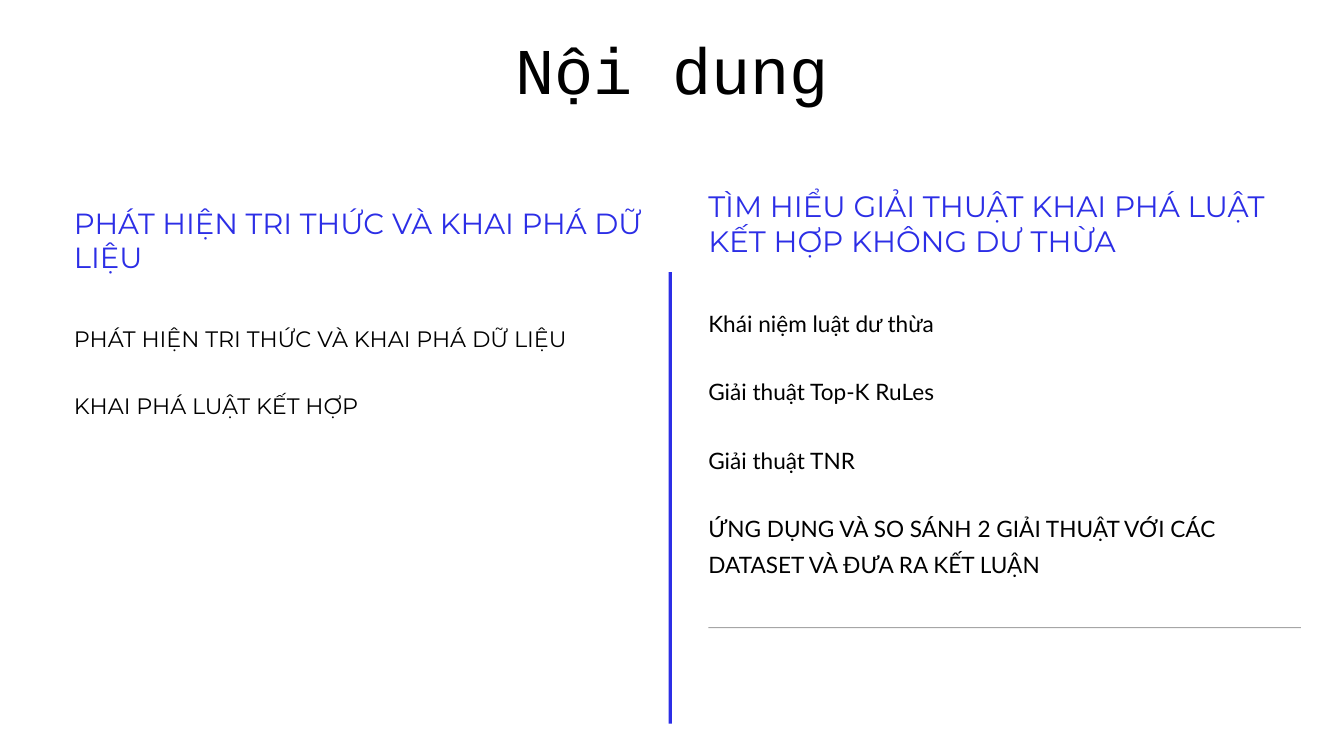
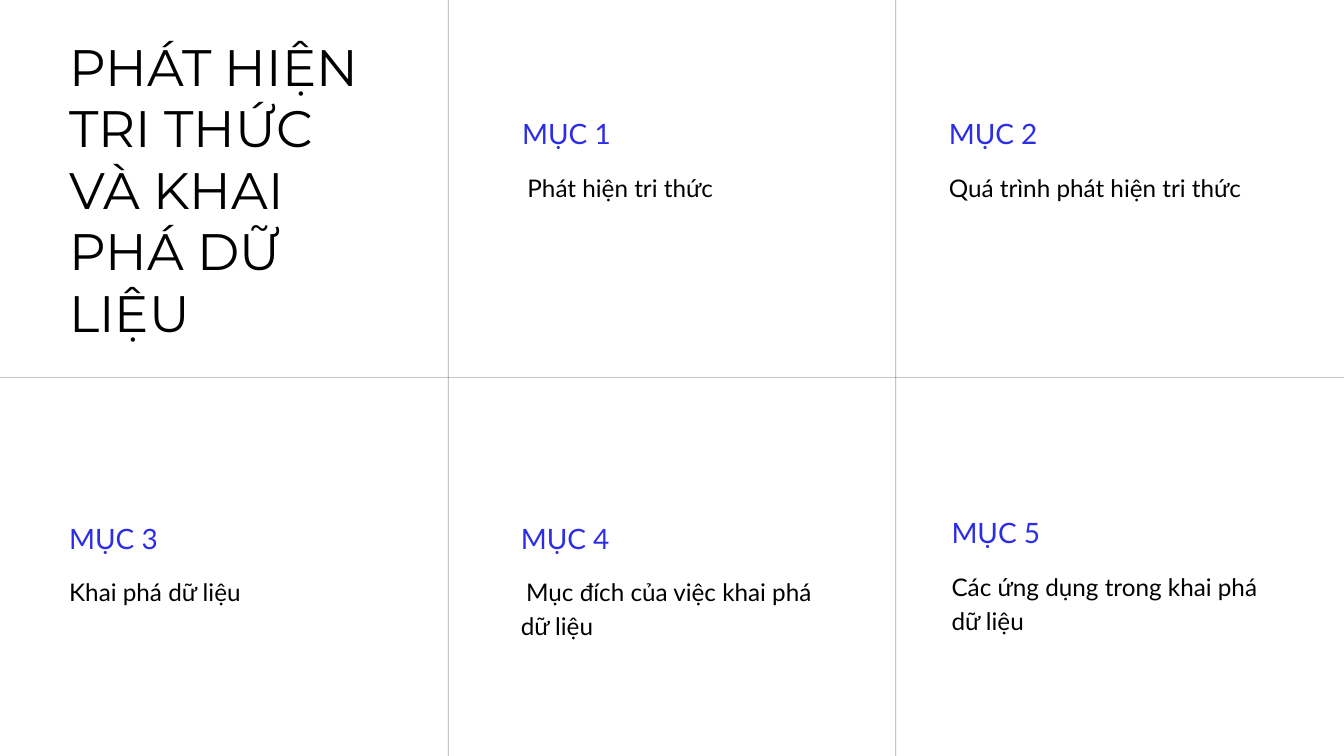
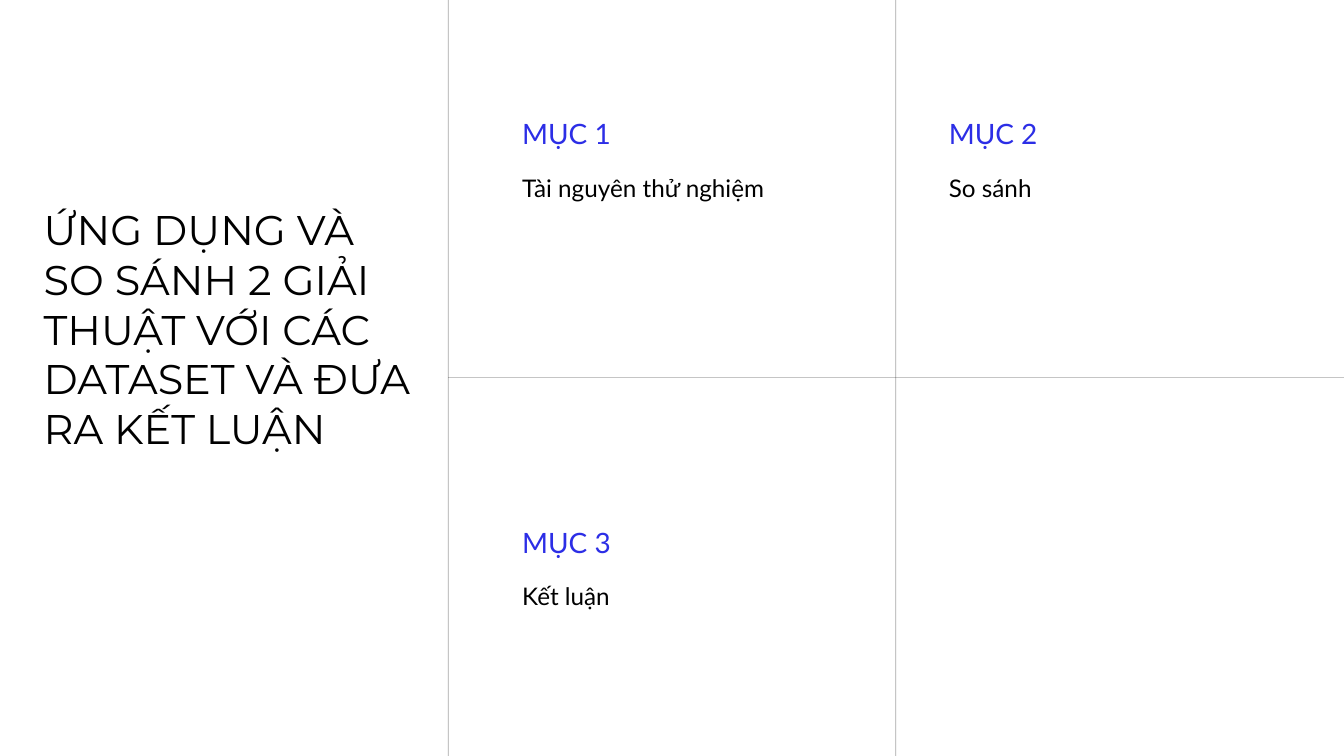
from lxml import etree
from pptx import Presentation
from pptx.dml.color import RGBColor
from pptx.enum.shapes import MSO_CONNECTOR, MSO_SHAPE
from pptx.enum.text import MSO_AUTO_SIZE, PP_ALIGN
from pptx.oxml.ns import qn
from pptx.util import Inches, Pt

STRAIGHT = MSO_CONNECTOR.STRAIGHT
RECTANGLE = MSO_SHAPE.RECTANGLE
FIT_SHAPE = MSO_AUTO_SIZE.SHAPE_TO_FIT_TEXT
LEFT, CENTER = PP_ALIGN.LEFT, PP_ALIGN.CENTER

COLORS = {"text": "000000", "accent": "2C2EE6", "rule": "000000"}
TITLE_FONT, BODY_FONT, MONO_FONT = "Montserrat", "Lato", "Courier New"

SLIDE_WIDTH, SLIDE_HEIGHT = 20, 11.25
GRID_X = (6.67, 13.33)
GRID_Y = 5.62
RULE_OPACITY = 35
COLUMN_WIDTH = 8.71
CELL_WIDTH = 4.56


def add_text(slide, box, text, size, font=BODY_FONT, color="text", leading=1.2,
             align=LEFT, indent=0):
    """Place one paragraph; leading is a multiple of size, indent is in inches."""
    shape = slide.shapes.add_textbox(*map(Inches, box))
    frame = shape.text_frame
    frame.margin_left = frame.margin_right = frame.margin_top = frame.margin_bottom = 0
    frame.word_wrap = True
    frame.auto_size = FIT_SHAPE
    paragraph = frame.paragraphs[0]
    paragraph.text = text
    paragraph.alignment = align
    paragraph.line_spacing = Pt(round(size * leading, 1))
    if indent:
        paragraph._p.get_or_add_pPr().set("indent", str(Inches(indent)))
    paragraph.font.name = font
    paragraph.font.size = Pt(size)
    paragraph.font.color.rgb = RGBColor.from_string(COLORS[color])


def add_rule(slide, start, end, weight=0.75):
    """Draw a thin translucent line between two points."""
    connector = slide.shapes.add_connector(STRAIGHT, *map(Inches, start + end))
    connector.line.width = Pt(weight)
    connector.line.color.rgb = RGBColor.from_string(COLORS["rule"])
    color = connector.line._ln.find(".//" + qn("a:srgbClr"))
    etree.SubElement(color, qn("a:alpha")).set("val", str(RULE_OPACITY * 1000))
    etree.SubElement(connector._element.spPr, qn("a:effectLst"))


def add_divider(slide, box):
    shape = slide.shapes.add_shape(RECTANGLE, *map(Inches, box))
    shape.shadow.inherit = False
    shape.fill.solid()
    shape.fill.fore_color.rgb = RGBColor.from_string(COLORS["accent"])
    shape.line.fill.background()


def add_agenda_column(slide, left, top, width, heading, items, font):
    """Place a heading and its items, all scaled to the column width."""
    scale = width / COLUMN_WIDTH
    add_text(slide, (left, top, width, 1.02 * scale), heading,
             round(31.2 * scale, 1), TITLE_FONT, "accent")
    for index, item in enumerate(items):
        item_top = top + (1.66 + index) * scale
        add_text(slide, (left, item_top, width, 0.47 * scale), item,
                 round(23.9 * scale, 1), font, leading=1.6)


def add_section_cell(slide, left, top, number, text, indent=0):
    add_text(slide, (left, top, CELL_WIDTH, 0.55), f"MỤC {number}", 30,
             color="accent", leading=1.4)
    add_text(slide, (left, top + 0.85, CELL_WIDTH, 0.47), text, 26,
             leading=1.4, indent=indent)


def add_agenda_slide(presentation):
    slide = add_blank_slide(presentation)
    add_text(slide, (7, 0.43, 6, 1.27), "Nội dung", 70, MONO_FONT, align=CENTER)
    add_agenda_column(
        slide, 1.1, 3.05, COLUMN_WIDTH, "PHÁT HIỆN TRI THỨC VÀ KHAI PHÁ DỮ LIỆU",
        ["PHÁT HIỆN TRI THỨC VÀ KHAI PHÁ DỮ LIỆU", "KHAI PHÁ LUẬT KẾT HỢP"],
        TITLE_FONT)
    add_agenda_column(
        slide, 10.54, 2.8, 8.83,
        "TÌM HIỂU GIẢI THUẬT KHAI PHÁ LUẬT KẾT HỢP KHÔNG DƯ THỪA",
        ["Khái niệm luật dư thừa", "Giải thuật Top-K RuLes", "Giải thuật TNR",
         "ỨNG DỤNG VÀ SO SÁNH 2 GIẢI THUẬT VỚI CÁC DATASET VÀ ĐƯA RA KẾT LUẬN"],
        BODY_FONT)
    add_rule(slide, (10.54, 9.34), (19.36, 9.34), 0.93)
    add_divider(slide, (9.95, 4.05, 0.05, 6.72))


def add_section_slide(presentation, title, title_box, title_size, rule_left, cells):
    """Build a grid slide: title at the left, numbered cells around it."""
    slide = add_blank_slide(presentation)
    add_text(slide, title_box, title, title_size, TITLE_FONT)
    add_rule(slide, (rule_left, GRID_Y), (SLIDE_WIDTH, GRID_Y))
    for x in GRID_X:
        add_rule(slide, (x, 0), (x, SLIDE_HEIGHT))
    for number, cell in enumerate(cells, 1):
        left, top, text, *indent = cell
        add_section_cell(slide, left, top, number, text, *indent)


def add_blank_slide(presentation):
    return presentation.slides.add_slide(presentation.slide_layouts[6])


def main():
    presentation = Presentation()
    presentation.slide_width = Inches(SLIDE_WIDTH)
    presentation.slide_height = Inches(SLIDE_HEIGHT)

    add_agenda_slide(presentation)
    add_section_slide(
        presentation, "PHÁT HIỆN TRI THỨC VÀ KHAI PHÁ DỮ LIỆU",
        (1.03, 0.52, 4.72, 4.53), 54.9, 0,
        [(7.77, 1.65, "Phát hiện tri thức", 0.08),
         (14.12, 1.65, "Quá trình phát hiện tri thức"),
         (1.03, 7.67, "Khai phá dữ liệu"),
         (7.75, 7.67, "Mục đích của việc khai phá dữ liệu", 0.08),
         (14.16, 7.59, "Các ứng dụng trong khai phá dữ liệu")])
    add_section_slide(
        presentation,
        "ỨNG DỤNG VÀ SO SÁNH 2 GIẢI THUẬT VỚI CÁC DATASET VÀ ĐƯA RA KẾT LUẬN",
        (0.65, 3.04, 5.66, 5.17), 44.4, GRID_X[0],
        [(7.77, 1.65, "Tài nguyên thử nghiệm"),
         (14.12, 1.65, "So sánh"),
         (7.77, 7.73, "Kết luận")])

    presentation.save("out.pptx")


if __name__ == "__main__":
    main()
